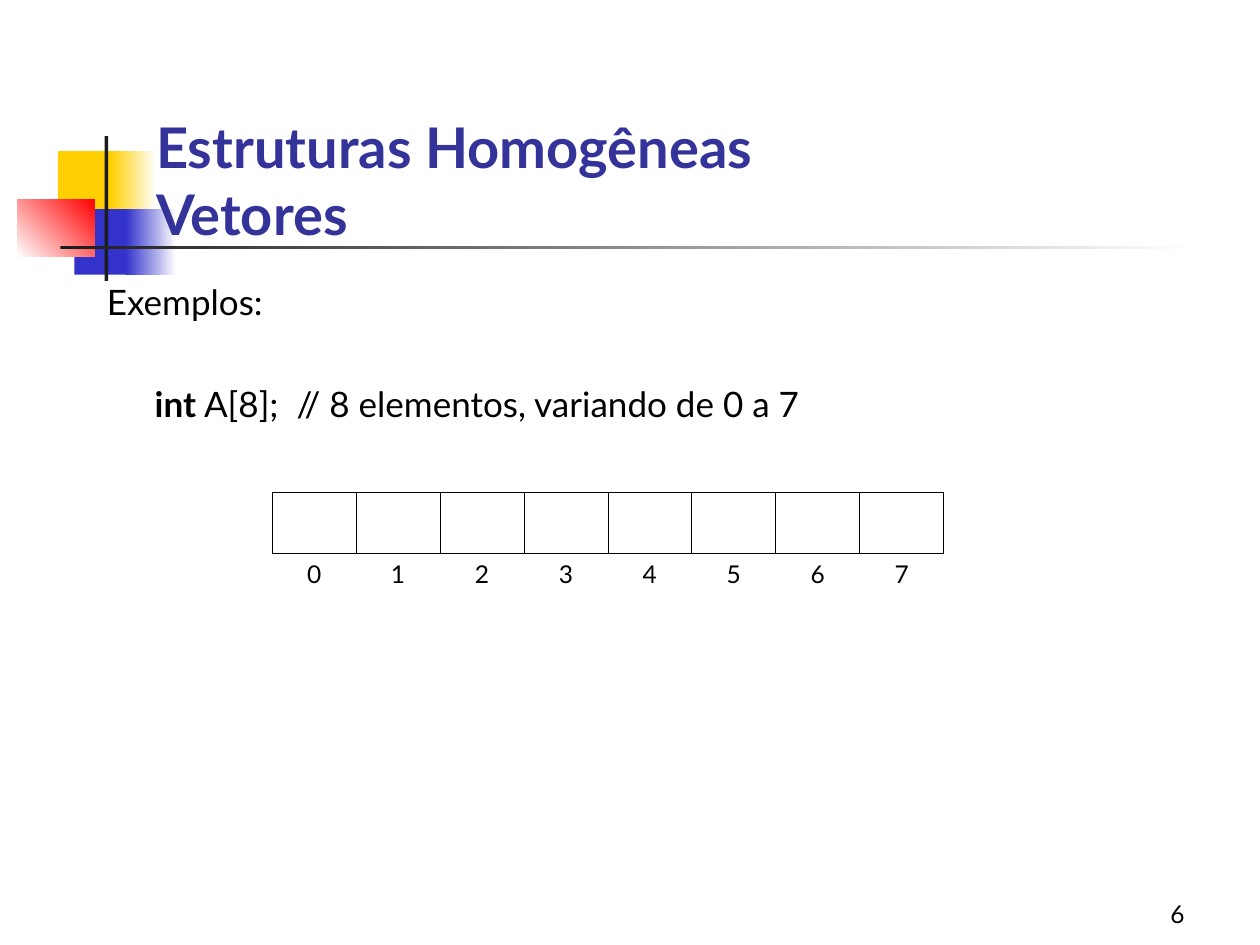
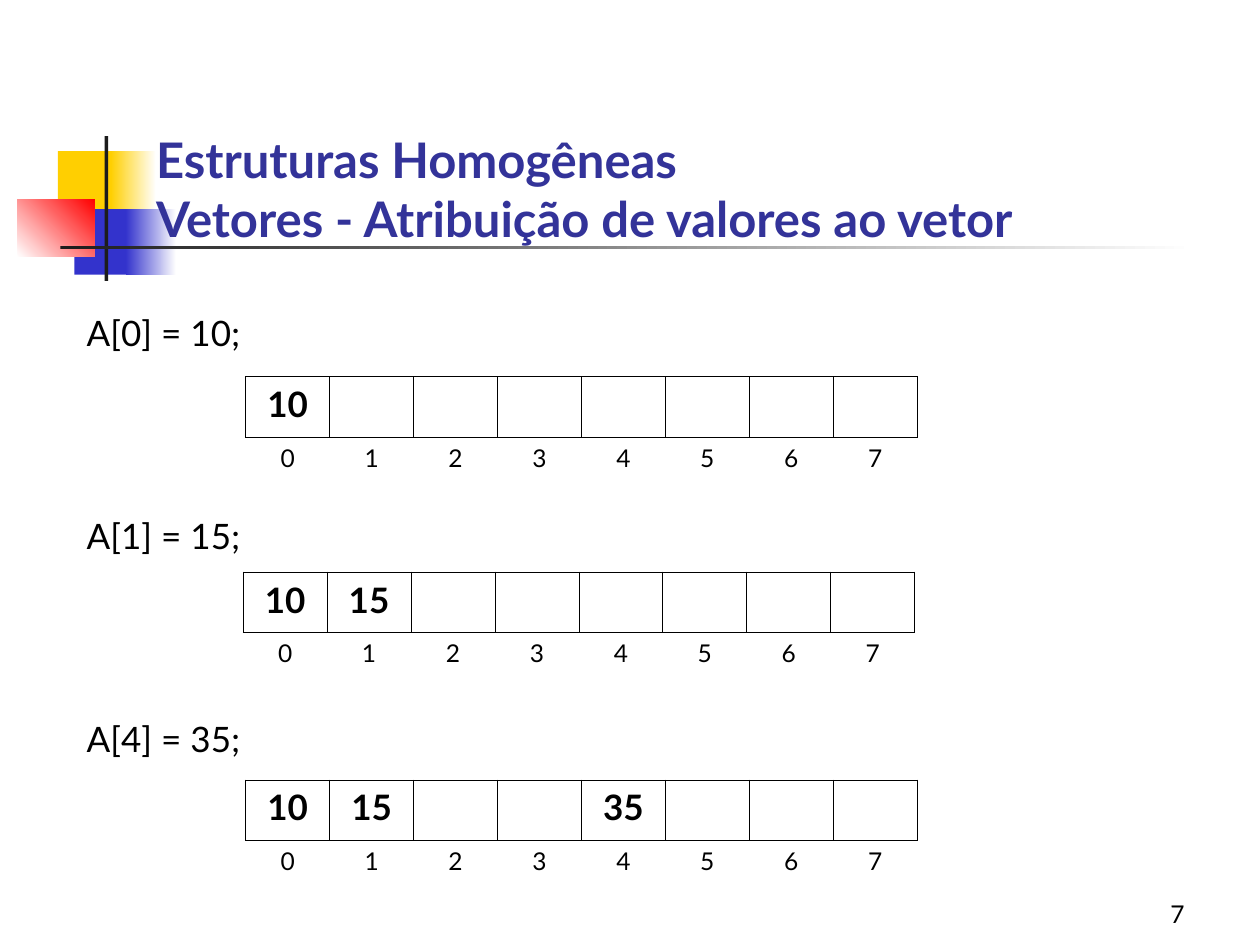
from dataclasses import dataclass

from lxml import etree
from pptx import Presentation
from pptx.dml.color import RGBColor
from pptx.enum.shapes import MSO_SHAPE
from pptx.enum.text import MSO_ANCHOR, PP_ALIGN
from pptx.oxml.ns import qn
from pptx.util import Inches, Pt

RECTANGLE = MSO_SHAPE.RECTANGLE
TOP, BOTTOM = MSO_ANCHOR.TOP, MSO_ANCHOR.BOTTOM
LEFT, CENTER, RIGHT = PP_ALIGN.LEFT, PP_ALIGN.CENTER, PP_ALIGN.RIGHT
NO_GRID_STYLE = "{2D5ABB26-0587-4C30-8999-92F81FD0307C}"


@dataclass(frozen=True)
class Theme:
    font: str = "Lato"
    text: str = "000000"
    title: str = "333399"
    paper: str = "FFFFFF"
    yellow: str = "FFCF01"
    blue: str = "3333CC"
    red: str = "FF0000"
    bar: str = "1C1C1C"
    body_size: int = 20
    small_size: int = 14
    border: float = 0.45


THEME = Theme()

# Emblem and rule: left, top, width, height, colours, angle
BAND = [
    (0.46, 1.2, 0.48, 0.52, [THEME.yellow], 0),
    (0.88, 1.2, 0.36, 0.52, [THEME.yellow, THEME.paper], 0),
    (0.59, 1.66, 0.46, 0.52, [THEME.blue], 0),
    (1, 1.66, 0.4, 0.52, [THEME.blue, THEME.paper], 0),
    (0.14, 1.58, 0.61, 0.46, [THEME.paper, THEME.red], 45),
    (0.83, 1.08, 0.03, 1.15, [THEME.bar], 0),
    (0.48, 1.95, 9, 0.03, [THEME.bar, THEME.paper], 0),
]
TITLE_BOX = (1.14, 0.76, 8.52, 1.25)
NUMBER_BOX = (7.42, 6.92, 2.08, 0.5)


def write(paragraph, text, size=THEME.body_size, color=THEME.text, bold=False,
          align=LEFT, before=0, indent=0):
    """Append text to a paragraph; a newline becomes a line break."""
    paragraph.alignment = align
    paragraph.space_before = Pt(before)
    if indent:
        paragraph._p.get_or_add_pPr().set("marL", str(Inches(indent)))
    for number, line in enumerate(text.split("\n")):
        if number:
            paragraph.add_line_break()
        run = paragraph.add_run()
        run.text = line
        run.font.name = THEME.font
        run.font.size = Pt(size)
        run.font.bold = bold
        run.font.color.rgb = RGBColor.from_string(color)


def add_frame(slide, box, anchor=TOP):
    frame = slide.shapes.add_textbox(*map(Inches, box)).text_frame
    frame.word_wrap = True
    frame.vertical_anchor = anchor
    return frame


def add_band(slide):
    for *box, colors, angle in BAND:
        block = slide.shapes.add_shape(RECTANGLE, *map(Inches, box))
        block.shadow.inherit = False
        block.line.fill.background()
        if len(colors) == 1:
            block.fill.solid()
            block.fill.fore_color.rgb = RGBColor.from_string(colors[0])
        else:
            block.fill.gradient()
            block.fill.gradient_angle = angle
            for stop, color in zip(block.fill.gradient_stops, colors):
                stop.color.rgb = RGBColor.from_string(color)


def add_base(deck, title, title_size, number):
    """Start a slide with the band, title and slide number."""
    slide = deck.slides.add_slide(deck.slide_layouts[6])
    add_band(slide)
    heading = add_frame(slide, TITLE_BOX, BOTTOM)
    write(heading.paragraphs[0], title, size=title_size, color=THEME.title, bold=True)
    footer = add_frame(slide, NUMBER_BOX, BOTTOM)
    write(footer.paragraphs[0], str(number), size=THEME.small_size, align=RIGHT)
    return slide


def set_borders(cell, sides):
    properties = cell._tc.get_or_add_tcPr()
    for side in sides:
        line = etree.SubElement(properties, qn(f"a:ln{side}"), w=str(Pt(THEME.border)))
        fill = etree.SubElement(line, qn("a:solidFill"))
        etree.SubElement(fill, qn("a:srgbClr"), val=THEME.text)


def add_vector(slide, left, top, values=None, length=8):
    """Draw the cells of a vector with their indices below."""
    values = values or {}
    table = slide.shapes.add_table(
        2, length, Inches(left), Inches(top), Inches(5.33), Inches(0.85)).table
    table._tbl.tblPr.find(qn("a:tableStyleId")).text = NO_GRID_STYLE
    table.first_row = table.horz_banding = False
    table.rows[0].height, table.rows[1].height = Inches(0.48), Inches(0.37)
    for index in range(length):
        table.columns[index].width = Inches(5.33 / length)
        element, label = table.cell(0, index), table.cell(1, index)
        set_borders(element, "LRTB")
        set_borders(label, "T")
        for cell in (element, label):
            cell.fill.solid()
            cell.fill.fore_color.rgb = RGBColor.from_string(THEME.paper)
        if index in values:
            write(element.text_frame.paragraphs[0], str(values[index]),
                  bold=True, align=CENTER)
        write(label.text_frame.paragraphs[0], str(index),
              size=THEME.small_size, align=CENTER)


def build_declaration(deck):
    slide = add_base(deck, "Estruturas Homogêneas\nVetores", 32, 6)
    example = add_frame(slide, (0.75, 2.18, 8.74, 1.3))
    write(example.paragraphs[0], "Exemplos:")
    declaration = example.add_paragraph()
    layout = {"before": 34, "indent": 0.38}
    write(declaration, "int", bold=True, **layout)
    write(declaration, " A[8];  // 8 elementos, variando de 0 a 7", **layout)
    add_vector(slide, 2.16, 3.91)


def build_assignment(deck):
    slide = add_base(
        deck, "Estruturas Homogêneas\nVetores - Atribuição de valores ao vetor", 28, 7)
    statements = add_frame(slide, (0.59, 2.42, 8.74, 3.75))
    steps = [(0, 10, 1.95, 2.99), (1, 15, 1.93, 4.54), (4, 35, 1.95, 6.19)]
    values = {}
    for number, (index, value, left, top) in enumerate(steps):
        statement = statements.add_paragraph() if number else statements.paragraphs[0]
        write(statement, f"A[{index}] = {value};", before=92 if number else 0)
        values[index] = value
        add_vector(slide, left, top, values)


def main():
    deck = Presentation()
    deck.slide_width, deck.slide_height = Inches(10), Inches(7.5)
    build_declaration(deck)
    build_assignment(deck)
    deck.save("out.pptx")


if __name__ == "__main__":
    main()
